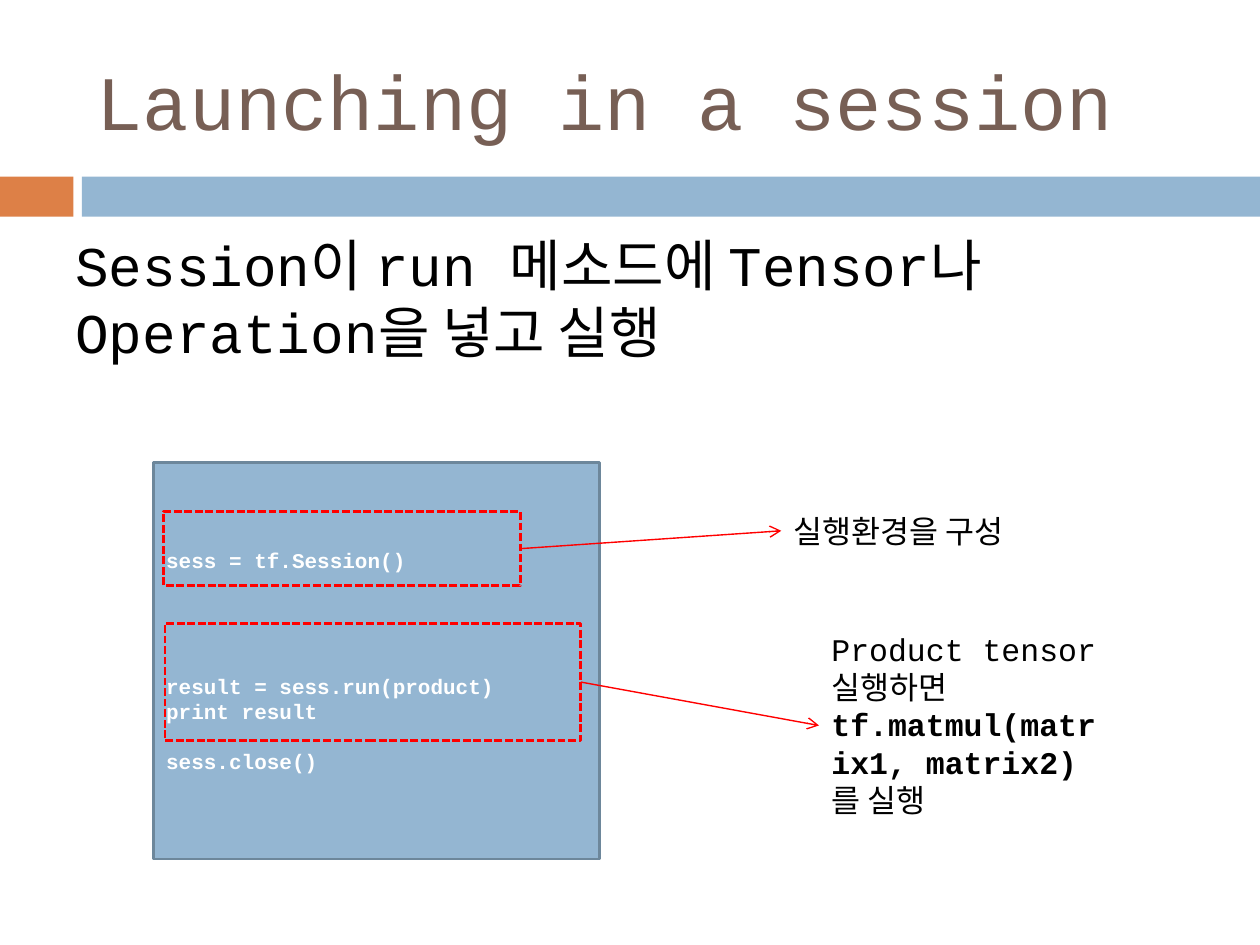
from collections import namedtuple
from dataclasses import dataclass

from lxml.etree import SubElement
from pptx import Presentation
from pptx.dml.color import RGBColor
from pptx.enum.dml import MSO_LINE
from pptx.enum.shapes import MSO_CONNECTOR, MSO_SHAPE
from pptx.enum.text import MSO_ANCHOR, PP_ALIGN
from pptx.oxml.ns import qn
from pptx.util import Cm, Pt

Box = namedtuple("Box", "left top width height")
RIGHT_SITE, LEFT_SITE = 3, 1


@dataclass(frozen=True)
class Theme:
    font: str = "Courier New"
    title_color: str = "775F55"
    text_color: str = "000000"
    code_color: str = "FFFFFF"
    accent: str = "DD8047"
    panel: str = "94B6D2"
    panel_edge: str = "6D879B"
    mark: str = "FF0000"
    title_size: float = 44
    body_size: float = 32
    note_size: float = 18
    code_size: float = 12
    code_leading: float = 14.4
    edge_width: float = 1.5
    arrow_width: float = 0.79


THEME = Theme()


def emu(box):
    return [Cm(length) for length in box]


def style_span(span, size, color, bold=False):
    font = span.font
    font.name, font.size, font.bold = THEME.font, Pt(size), bold
    font.color.rgb = RGBColor.from_string(color)


def add_rectangle(page, box, fill=None, edge=None):
    shape = page.shapes.add_shape(MSO_SHAPE.RECTANGLE, *emu(box))
    shape.shadow.inherit = False
    if fill:
        shape.fill.solid()
        shape.fill.fore_color.rgb = RGBColor.from_string(fill)
    else:
        shape.fill.background()
    if edge:
        shape.line.color.rgb = RGBColor.from_string(edge)
        shape.line.width = Pt(THEME.edge_width)
    else:
        shape.line.fill.background()
    return shape


def add_text(page, box, paragraphs, size, color, anchor=MSO_ANCHOR.TOP):
    """Each paragraph is a list of (text, bold) spans."""
    text_box = page.shapes.add_textbox(*emu(box))
    frame = text_box.text_frame
    frame.word_wrap = True
    frame.vertical_anchor = anchor
    for index, spans in enumerate(paragraphs):
        para = frame.paragraphs[0] if index == 0 else frame.add_paragraph()
        for text, bold in spans:
            span = para.add_run()
            span.text = text
            style_span(span, size, color, bold)
    return text_box


def add_heading(page, box):
    # Title above a two-colour band at the bottom of the box
    band_height, accent_width, gap = 0.81, 1.48, 0.17
    band_top = box.top + box.height - band_height
    panel_left = box.left + accent_width + gap
    add_rectangle(page, Box(box.left, band_top, accent_width, band_height), THEME.accent)
    add_rectangle(page, Box(panel_left, band_top, box.left + box.width - panel_left,
                            band_height), THEME.panel)
    add_text(page, Box(box.left + 1.7, box.top + 0.64, 22.66, 2.74),
             [[("Launching in a session", False)]],
             THEME.title_size, THEME.title_color, MSO_ANCHOR.MIDDLE)


def add_summary(page, box):
    summary = add_text(page, box,
                       [[("Session이 run 메소드에 Tensor나 Operation을 넣고 실행", False)]],
                       THEME.body_size, THEME.text_color)
    summary.text_frame.paragraphs[0].space_before = Pt(7)


def add_code_panel(page, box):
    # Code lines with the number of line heights left free above each
    code = [("sess = tf.Session()", 0), ("result = sess.run(product)", 4),
            ("print result", 0), ("sess.close()", 1)]
    frame = add_rectangle(page, box, THEME.panel, THEME.panel_edge).text_frame
    frame.word_wrap = True
    frame.vertical_anchor = MSO_ANCHOR.MIDDLE
    for index, (text, lines_above) in enumerate(code):
        para = frame.paragraphs[0] if index == 0 else frame.add_paragraph()
        para.text = text
        para.alignment = PP_ALIGN.LEFT
        para.line_spacing = Pt(THEME.code_leading)
        para.space_before = Pt(lines_above * THEME.code_leading)
        style_span(para.runs[0], THEME.code_size, THEME.code_color, True)


def add_callout(page, mark_box, note_box, paragraphs):
    # Dashed frame, note, and the arrow between them
    mark = add_rectangle(page, mark_box, edge=THEME.mark)
    mark.line.dash_style = MSO_LINE.SQUARE_DOT
    note = add_text(page, note_box, paragraphs, THEME.note_size, THEME.text_color)
    arrow = page.shapes.add_connector(MSO_CONNECTOR.STRAIGHT, 0, 0, 0, 0)
    arrow.begin_connect(mark, RIGHT_SITE)
    arrow.end_connect(note, LEFT_SITE)
    arrow.line.color.rgb = RGBColor.from_string(THEME.mark)
    arrow.line.width = Pt(THEME.arrow_width)
    SubElement(arrow.line._get_or_add_ln(), qn("a:tailEnd"), type="arrow")
    SubElement(arrow._element.spPr, qn("a:effectLst"))


def add_code_walkthrough(page, box):
    def inside(left, top, width, height):
        return Box(box.left + left, box.top + top, width, height)

    add_code_panel(page, inside(0, 0, 8.99, 8))
    add_callout(page, inside(0.2, 0.99, 7.19, 1.5), inside(12.65, 0.87, 5.99, 1.02),
                [[("실행환경을 구성", False)]])
    add_callout(page, inside(0.23, 3.25, 8.38, 2.36), inside(13.41, 3.25, 5.99, 4.11),
                [[("Product tensor 실행하면 ", False), ("tf.matmul(matrix1, matrix2)", True)],
                 [("를 실행", False)]])


def main():
    deck = Presentation()
    deck.slide_width, deck.slide_height = Cm(25.4), Cm(19.05)
    page = deck.slides.add_slide(deck.slide_layouts[6])
    add_heading(page, Box(0, 0, 25.4, 4.37))
    add_summary(page, Box(1.27, 4.52, 22.86, 3.3))
    add_code_walkthrough(page, Box(3.1, 9.32, 19.4, 8))
    deck.save("out.pptx")


if __name__ == "__main__":
    main()
